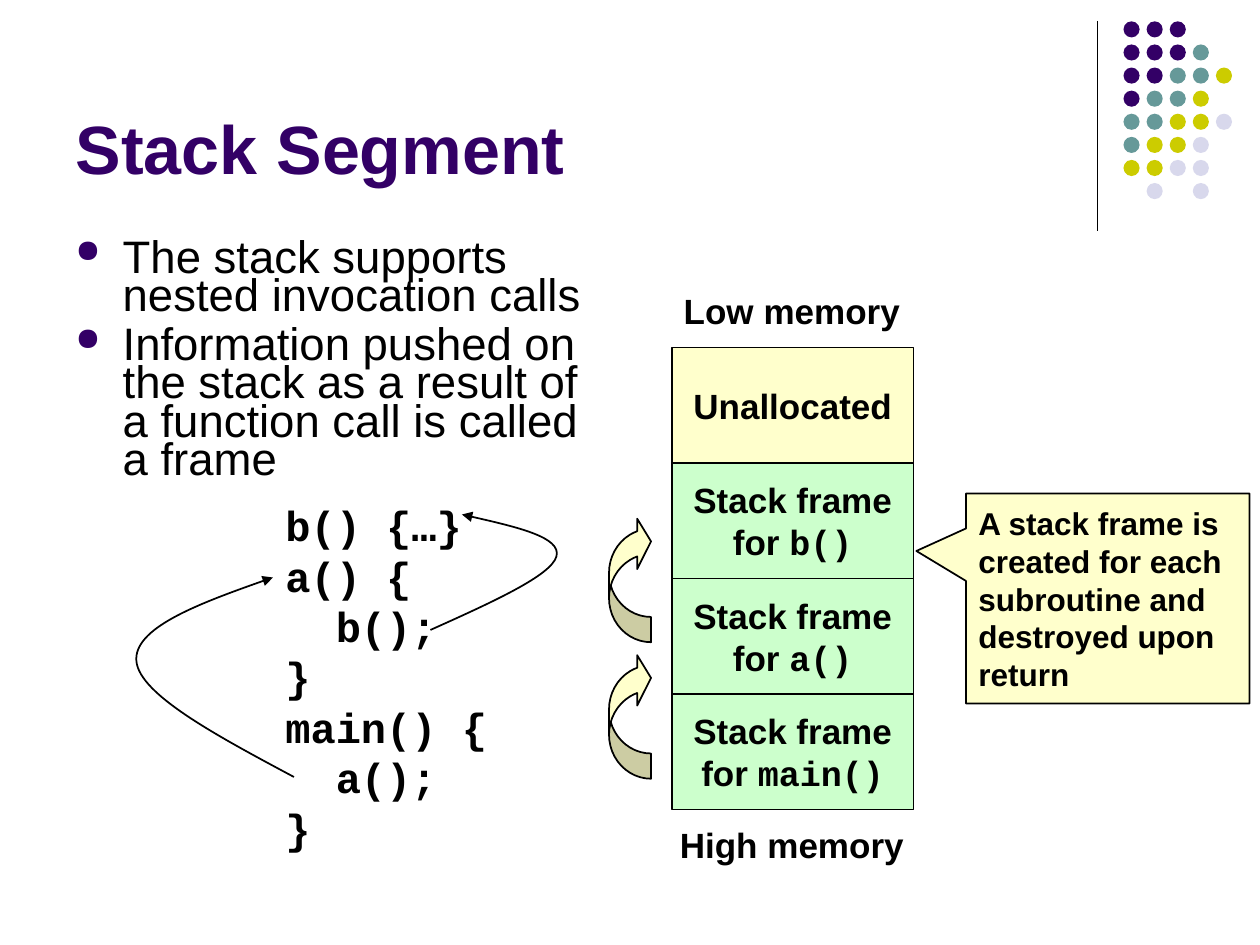
from lxml import etree
from pptx import Presentation
from pptx.dml.color import RGBColor
from pptx.enum import shapes as kinds, text as txt
from pptx.oxml import ns
from pptx.util import Pt

COLORS = {
    "ink": "000000", "purple": "330066", "teal": "669999", "olive": "CCCC00",
    "lilac": "D8D8EC", "cream": "FFFFCC", "mint": "CCFFCC",
}
RGB = {name: RGBColor.from_string(value) for name, value in COLORS.items()}
SANS, MONO = "Arial", "Courier New"


def write(shape, lines, size, font=SANS, bold=True, align=None, pitch=None, wrap=True):
    """Fill a shape with paragraphs; the part after "|" in a line is set in MONO."""
    frame = shape.text_frame
    frame.word_wrap = wrap
    for i, line in enumerate(lines):
        para = frame.paragraphs[0] if i == 0 else frame.add_paragraph()
        para.alignment = align
        para.line_spacing = pitch
        para.font.name, para.font.size, para.font.bold = font, Pt(size), bold
        para.font.color.rgb = RGB["ink"]
        plain, _, code = line.partition("|")
        para.add_run().text = plain
        if code:
            code_run = para.add_run()
            code_run.text = code
            code_run.font.name = MONO
    return frame


def style(shape, fill):
    shape.shadow.inherit = False
    shape.line.color.rgb = RGB["ink"]
    shape.line.width = Pt(1)
    if fill:
        shape.fill.solid()
        shape.fill.fore_color.rgb = RGB[fill]
    else:
        shape.fill.background()


prs = Presentation()
prs.slide_width, prs.slide_height = Pt(720), Pt(540)
slide = prs.slides.add_slide(prs.slide_layouts[5])
parts = slide.shapes

# Corner ornament: a rule and a grid of dots
rule = parts.add_connector(kinds.MSO_CONNECTOR.STRAIGHT, Pt(627), Pt(12), Pt(627), Pt(132))
rule.line.color.rgb = RGB["ink"]
rule.line.width = Pt(0.75)
etree.SubElement(rule._element.spPr, ns.qn("a:effectLst"))

DOT_COLORS = {"P": "purple", "T": "teal", "Y": "olive", "L": "lilac"}
DOT_ROWS = ["PPP", "PPPT", "PPTTY", "PTTY", "TTYYL", "TYYL", "YYLL", ".L.L"]
for row, marks in enumerate(DOT_ROWS):
    for col, mark in enumerate(marks):
        if mark in DOT_COLORS:
            dot = parts.add_shape(kinds.MSO_SHAPE.OVAL, Pt(642 + 13.2 * col),
                                  Pt(12.2 + 13.2 * row), Pt(9.2), Pt(9.2))
            style(dot, DOT_COLORS[mark])
            dot.line.fill.background()

# Title
title = parts.title
title.left, title.top, title.width, title.height = Pt(36), Pt(9), Pt(594), Pt(102)
title.text_frame.text = "Stack Segment"
title.text_frame.auto_size = txt.MSO_AUTO_SIZE.NONE
title.text_frame.vertical_anchor = txt.MSO_ANCHOR.BOTTOM
heading = title.text_frame.paragraphs[0]
heading.alignment = txt.PP_ALIGN.LEFT
heading.font.name, heading.font.size, heading.font.bold = SANS, Pt(39), True
heading.font.color.rgb = RGB["purple"]

# Bullets
bullets = parts.add_textbox(Pt(36), Pt(135), Pt(309), Pt(151))
points = write(bullets, [
    "The stack supports nested invocation calls",
    "Information pushed on the stack as a result of a function call is called a frame",
], 26, bold=False, pitch=0.7)
for para in points.paragraphs:
    para.space_before = Pt(6.5)
    props = para._p.get_or_add_pPr()
    props.set("marL", str(Pt(27)))
    props.set("indent", str(Pt(-27)))
    color = etree.SubElement(props, ns.qn("a:buClr"))
    etree.SubElement(color, ns.qn("a:srgbClr"), val=COLORS["purple"])
    etree.SubElement(props, ns.qn("a:buSzPct"), val="70000")
    etree.SubElement(props, ns.qn("a:buChar"), char="●")
    props.append(props.find(ns.qn("a:defRPr")))  # schema order: after the bullet

# Memory column
MEMORY = [
    ("cream", ["Unallocated"]),
    ("mint", ["Stack frame", "for |b()"]),
    ("mint", ["Stack frame", "for |a()"]),
    ("mint", ["Stack frame", "for |main()"]),
]
for i, (fill, lines) in enumerate(MEMORY):
    cell = parts.add_shape(kinds.MSO_SHAPE.RECTANGLE, Pt(384), Pt(198.6 + 66 * i),
                           Pt(138), Pt(66))
    style(cell, fill)
    frame = write(cell, lines, 20, align=txt.PP_ALIGN.CENTER, pitch=Pt(24), wrap=False)
    frame.vertical_anchor = txt.MSO_ANCHOR.MIDDLE

for label, top in (("Low memory", 162), ("High memory", 467)):
    end = parts.add_textbox(Pt(381), Pt(top), Pt(143), Pt(31.5))
    write(end, [label], 20, align=txt.PP_ALIGN.CENTER, pitch=Pt(24), wrap=False)

# Arrows from each frame up to the next
for top in (373, 295):
    push = parts.add_shape(kinds.MSO_SHAPE.CURVED_RIGHT_ARROW, Pt(348), Pt(top), Pt(24), Pt(72))
    style(push, "cream")
    for i, share in enumerate((0.6, 1.2, 0.33)):
        push.adjustments[i] = share
    push._element.spPr.xfrm.set("flipV", "1")

# Code listing
listing = parts.add_textbox(Pt(156), Pt(282), Pt(174), Pt(209))
write(listing, ["b() {…}", "a() {", "  b();", "}", "main() {", "  a();", "}"],
      24, font=MONO, pitch=Pt(28.8))

# Callout
note = parts.add_shape(kinds.MSO_SHAPE.RECTANGULAR_CALLOUT, Pt(552), Pt(282), Pt(162), Pt(120))
note.adjustments[0], note.adjustments[1] = -0.675, -0.226
style(note, "cream")
frame = write(note, ["A stack frame is created for each subroutine and destroyed upon return"],
              18, align=txt.PP_ALIGN.LEFT, pitch=Pt(21.6))
frame.vertical_anchor = txt.MSO_ANCHOR.MIDDLE

# Call arrows: a start, then three Bézier points per curve
CALLS = [
    [(168, 444), (124, 420.5), (80, 397), (78, 378), (76, 359), (116, 344), (156, 330)],
    [(246, 360), (280.5, 344.5), (315, 329), (318, 318), (321, 307), (292.5, 300.5), (264, 294)],
]
for start, *rest in CALLS:
    builder = parts.build_freeform(Pt(start[0]), Pt(start[1]))
    builder.add_line_segments([(Pt(x), Pt(y)) for x, y in rest], close=False)
    call = builder.convert_to_shape()
    style(call, None)
    segments = list(call._element.iter(ns.qn("a:lnTo")))
    outline = segments[0].getparent()
    for i in range(0, len(segments), 3):
        curve = etree.SubElement(outline, ns.qn("a:cubicBezTo"))
        for segment in segments[i:i + 3]:
            curve.append(segment[0])
            outline.remove(segment)
    etree.SubElement(call.line._get_or_add_ln(), ns.qn("a:tailEnd"), type="triangle")

prs.save("out.pptx")
